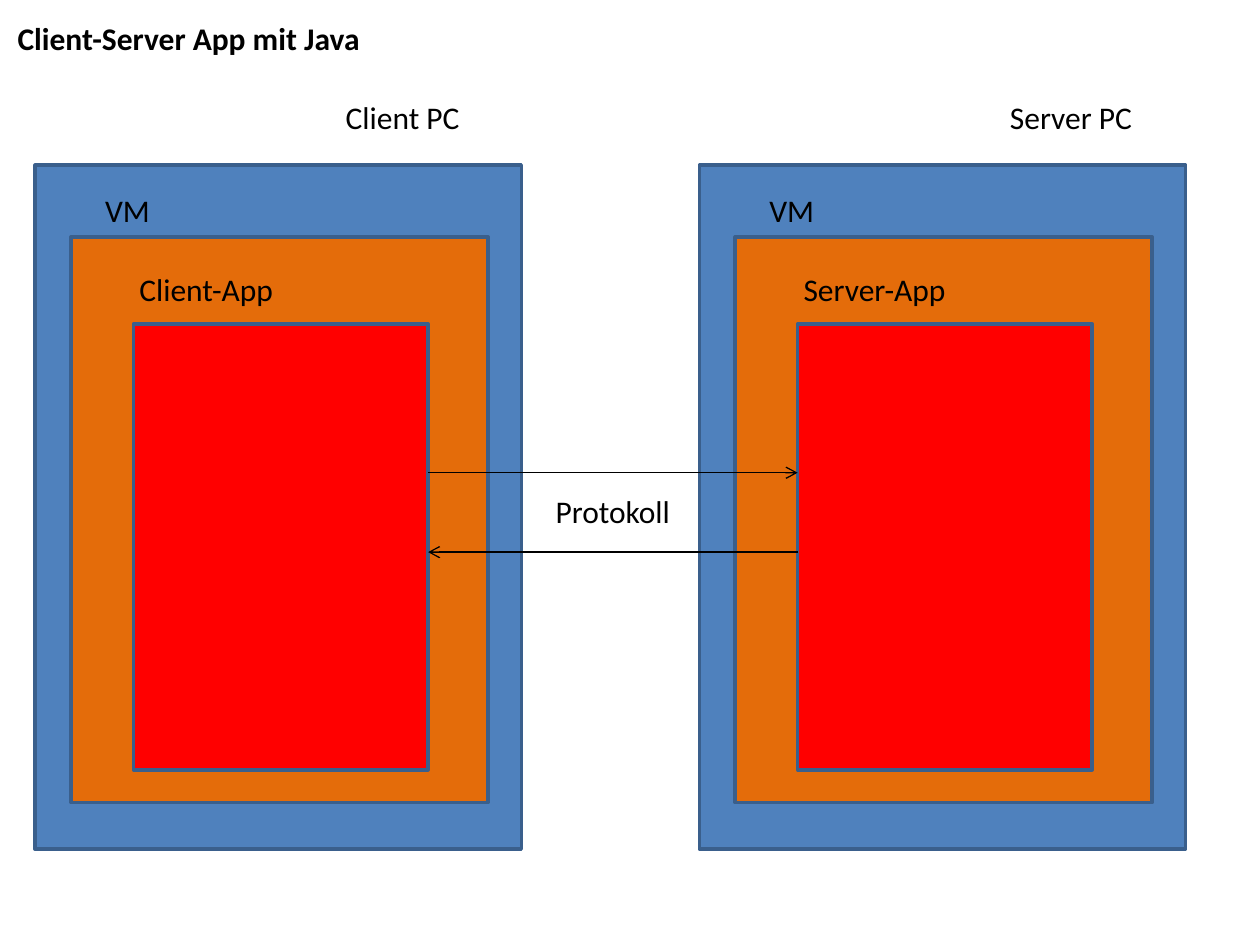
from typing import NamedTuple

from lxml import etree
from pptx import Presentation
from pptx.dml.color import RGBColor
from pptx.enum.shapes import MSO_CONNECTOR, MSO_SHAPE
from pptx.enum.text import MSO_ANCHOR, MSO_AUTO_SIZE, PP_ALIGN
from pptx.oxml.ns import qn
from pptx.util import Cm, Pt

RECT = MSO_SHAPE.RECTANGLE
STRAIGHT = MSO_CONNECTOR.STRAIGHT
LEFT = PP_ALIGN.LEFT
TOP = MSO_ANCHOR.TOP
NO_FIT = MSO_AUTO_SIZE.NONE
FIT_SHAPE = MSO_AUTO_SIZE.SHAPE_TO_FIT_TEXT

FONT = "Calibri"
BLACK = "000000"
BORDER = "3A5F8C"
LABEL_HEIGHT = 1.03


class Layer(NamedTuple):
    dx: float
    top: float
    width: float
    height: float
    fill: str
    label_dx: float
    label_top: float


class Label(NamedTuple):
    text: str
    width: float


class Machine(NamedTuple):
    left: float
    labels: tuple[Label, ...]


class Arrow(NamedTuple):
    start: float
    end: float
    y: float


LAYERS = (
    Layer(0, 3.33, 9.8, 13.79, "4F81BD", 6.01, 1.85),
    Layer(0.72, 4.78, 8.41, 11.4, "E46C0A", 1.16, 3.73),
    Layer(1.98, 6.53, 5.94, 8.99, "FF0000", 1.85, 5.31),
)
VM = Label("VM", 1.42)
CLIENT = Machine(0.71, (Label("Client PC", 2.84), VM, Label("Client-App", 3.25)))
SERVER = Machine(14.1, (Label("Server PC", 3), VM, Label("Server-App", 3.43)))
APP = LAYERS[-1]
CLIENT_EDGE = CLIENT.left + APP.dx + APP.width
SERVER_EDGE = SERVER.left + APP.dx
ARROWS = (
    Arrow(CLIENT_EDGE, SERVER_EDGE, 9.53),
    Arrow(SERVER_EDGE, CLIENT_EDGE, 11.13),
)


def color(value: str) -> RGBColor:
    return RGBColor.from_string(value)


def write(tf, text: str, bold: bool = False) -> None:
    tf.word_wrap = False
    tf.vertical_anchor = TOP
    p = tf.paragraphs[0]
    p.alignment = LEFT
    r = p.add_run()
    r.text = text
    r.font.name = FONT
    r.font.size = Pt(18)
    r.font.bold = bold
    r.font.color.rgb = color(BLACK)


def add_label(s, label: Label, left: float, top: float) -> None:
    sp = s.shapes.add_textbox(Cm(left), Cm(top), Cm(label.width), Cm(LABEL_HEIGHT))
    sp.text_frame.auto_size = FIT_SHAPE
    write(sp.text_frame, label.text)


def add_machine(s, machine: Machine) -> None:
    for layer, label in zip(LAYERS, machine.labels):
        sp = s.shapes.add_shape(
            RECT, Cm(machine.left + layer.dx), Cm(layer.top), Cm(layer.width), Cm(layer.height)
        )
        sp.shadow.inherit = False
        sp.fill.solid()
        sp.fill.fore_color.rgb = color(layer.fill)
        sp.line.color.rgb = color(BORDER)
        sp.line.width = Pt(2)
        add_label(s, label, machine.left + layer.label_dx, layer.label_top)


def add_arrow(s, arrow: Arrow) -> None:
    cxn = s.shapes.add_connector(
        STRAIGHT, Cm(arrow.start), Cm(arrow.y), Cm(arrow.end), Cm(arrow.y)
    )
    cxn.line.color.rgb = color(BLACK)
    cxn.line.width = Pt(0.75)
    etree.SubElement(cxn.line._get_or_add_ln(), qn("a:tailEnd"), type="arrow")
    etree.SubElement(cxn._element.spPr, qn("a:effectLst"))


prs = Presentation()
prs.slide_width, prs.slide_height = Cm(25.4), Cm(19.05)
s = prs.slides.add_slide(prs.slide_layouts[5])

title = s.shapes.title
title.left, title.top = Cm(0.1), Cm(0.25)
title.width, title.height = Cm(7.49), Cm(LABEL_HEIGHT)
title.text_frame.auto_size = NO_FIT
write(title.text_frame, "Client-Server App mit Java", bold=True)

for machine in (SERVER, CLIENT):
    add_machine(s, machine)
for arrow in ARROWS:
    add_arrow(s, arrow)
add_label(s, Label("Protokoll", 2.84), 10.95, 9.8)

prs.save("out.pptx")
